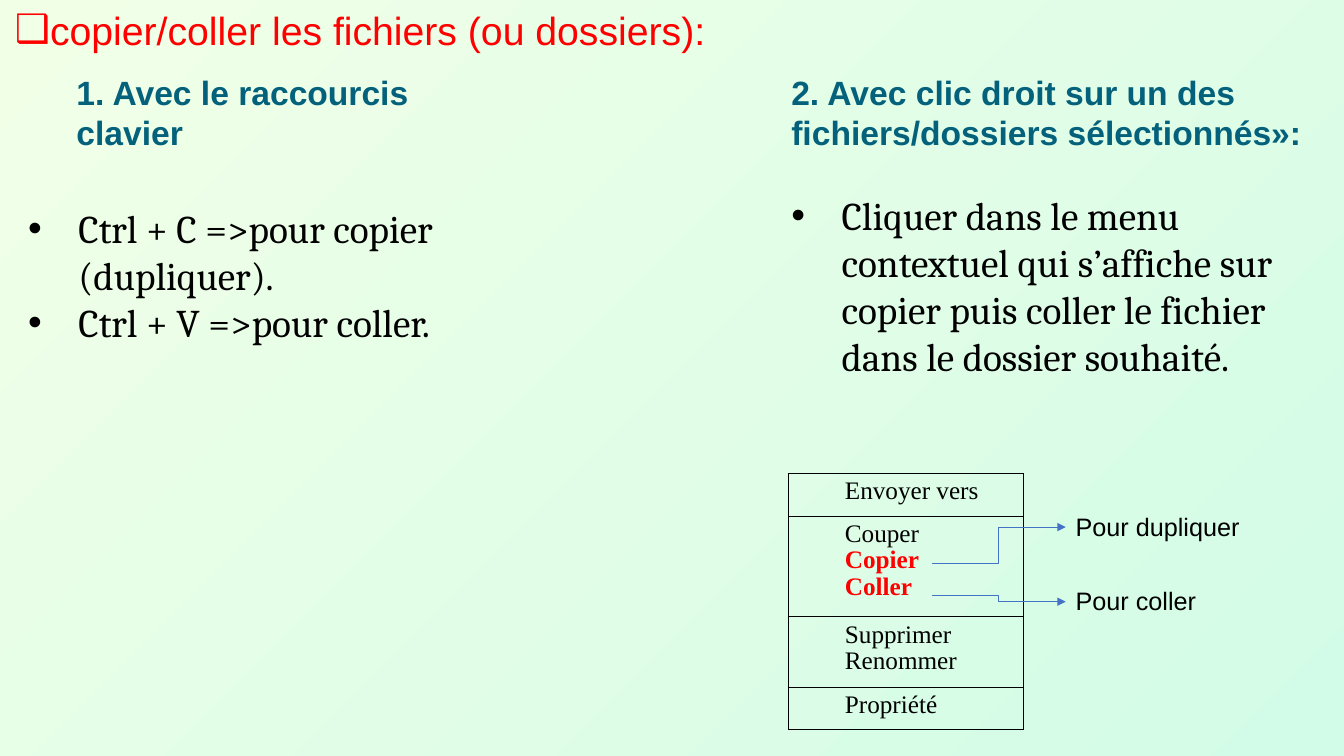
import pptx
import pptx.dml.color
import pptx.enum.shapes
import pptx.enum.text
import pptx.oxml
import pptx.oxml.ns
import pptx.util
from lxml import etree

Inches = pptx.util.Inches
Pt = pptx.util.Pt
qn = pptx.oxml.ns.qn


def rgb(hex_color):
    return pptx.dml.color.RGBColor.from_string(hex_color)


def apply(target, values):
    for name, value in values.items():
        setattr(target, name, value)


class SlideBuilder:
    """Holds the style and the current slide."""

    BLACK, RED, TEAL, BLUE = "000000", "FF0000", "04617B", "4472C4"
    HEADING = {"name": "Arial", "size": Pt(24), "bold": True}
    TITLE = {"name": "Arial", "size": Pt(28)}
    BODY = {"name": "Cambria", "size": Pt(28)}
    LABEL = {"name": "Arial", "size": Pt(18)}
    MENU = {"name": "Times New Roman", "size": Pt(18)}

    def __init__(self, deck):
        self.slide = deck.slides.add_slide(deck.slide_layouts[6])

    def background(self, start, end):
        fill = self.slide.background.fill
        fill.gradient()
        fill.gradient_angle = 315
        for stop, position, color in zip(fill.gradient_stops, (0, 1), (start, end)):
            stop.position = position
            stop.color.rgb = rgb(color)

    def add_lines(self, frame, lines, style, color, indent=0.0, bullet=None):
        for index, line in enumerate(lines):
            paragraph = frame.add_paragraph() if index else frame.paragraphs[0]
            if indent:
                properties = paragraph._p.get_or_add_pPr()
                properties.set("marL", str(Inches(indent)))
                properties.set("indent", str(-Inches(indent) if bullet else 0))
                if bullet:
                    etree.SubElement(properties, qn("a:buFont"), typeface="Arial")
                    etree.SubElement(properties, qn("a:buChar"), char=bullet)
            run = paragraph.add_run()
            run.text = line
            apply(run.font, style)
            run.font.color.rgb = rgb(color)

    def text(self, box, lines, style, color=BLACK, indent=0.0, bullet=None):
        frame = self.slide.shapes.add_textbox(*map(Inches, box)).text_frame
        apply(frame, {
            "word_wrap": True,
            "auto_size": pptx.enum.text.MSO_AUTO_SIZE.SHAPE_TO_FIT_TEXT,
        })
        self.add_lines(frame, lines, style, color, indent, bullet)

    def border(self, cell):
        properties = cell._tc.get_or_add_tcPr()
        for index, side in enumerate(("lnL", "lnR", "lnT", "lnB")):
            line = etree.Element(qn("a:" + side), w=str(Pt(0.8)))
            solid = etree.SubElement(line, qn("a:solidFill"))
            etree.SubElement(solid, qn("a:srgbClr"), val=self.BLACK)
            properties.insert(index, line)

    def menu(self, left, top, width, groups, heights, highlighted):
        table = self.slide.shapes.add_table(
            len(groups), 1, Inches(left), Inches(top), Inches(width), Inches(sum(heights))
        ).table
        apply(table, {"first_row": False, "horz_banding": False})
        for index, (entries, height) in enumerate(zip(groups, heights)):
            table.rows[index].height = Inches(height)
            cell = table.cell(index, 0)
            apply(cell, {
                "margin_left": Inches(0.06), "margin_right": Inches(0.06),
                "margin_top": Inches(0.05), "margin_bottom": Inches(0.05),
            })
            cell.fill.background()
            self.border(cell)
            self.add_lines(cell.text_frame, entries, self.MENU, self.BLACK, indent=0.5)
            for paragraph in cell.text_frame.paragraphs:
                paragraph.line_spacing = 0.95
                font = paragraph.runs[0].font
                font.bold = paragraph.text in highlighted
                if font.bold:
                    font.color.rgb = rgb(self.RED)

    def arrow(self, start, end):
        connector = self.slide.shapes.add_connector(
            pptx.enum.shapes.MSO_CONNECTOR.ELBOW, *map(Inches, start + end)
        )
        connector.line.color.rgb = rgb(self.BLUE)
        connector.line.width = Pt(0.5)
        outline = connector._element.spPr.find(qn("a:ln"))
        etree.SubElement(outline, qn("a:tailEnd"), type="triangle")
        etree.SubElement(connector._element.spPr, qn("a:effectLst"))


def main():
    deck = pptx.Presentation()
    apply(deck, {"slide_width": Inches(13.33), "slide_height": Inches(7.5)})
    page = SlideBuilder(deck)
    page.background("F2FFE7", "D2FCE7")

    # Title
    page.text((0.05, 0.01, 8.71, 0.57), ["copier/coller les fichiers (ou dossiers):"],
              page.TITLE, page.RED, indent=0.31, bullet="❑")

    # Keyboard method
    page.text((0.66, 0.66, 4.38, 0.91), ["1. Avec le raccourcis clavier"],
              page.HEADING, page.TEAL)
    page.text((0.18, 1.98, 6.18, 1.51),
              ["Ctrl + C =>pour copier (dupliquer).", "Ctrl + V =>pour coller."],
              page.BODY, indent=0.5, bullet="•")

    # Right-click method
    page.text((7.75, 0.66, 5.32, 0.91),
              ["2. Avec clic droit sur un des fichiers/dossiers sélectionnés»:"],
              page.HEADING, page.TEAL)
    page.text((7.75, 1.85, 5.2, 2.46),
              ["Cliquer dans le menu contextuel qui s’affiche sur copier "
               "puis coller le fichier dans le dossier souhaité."],
              page.BODY, indent=0.5, bullet="•")

    # Context menu
    menu_groups = [["Envoyer vers"], ["Couper", "Copier", "Coller"],
                   ["Supprimer", "Renommer"], ["Propriété"]]
    page.menu(7.82, 4.7, 2.33, menu_groups, (0.42, 1.0, 0.7, 0.42), ("Copier", "Coller"))

    # Explanations of the highlighted entries
    explanations = [("Pour dupliquer", 5.02, 5.59, 5.23), ("Pour coller", 5.76, 5.91, 5.97)]
    for explanation, top, entry_y, tip_y in explanations:
        page.text((10.57, top, 2.16, 0.4), [explanation], page.LABEL)
        page.arrow((9.24, entry_y), (10.57, tip_y))

    deck.save("out.pptx")


if __name__ == "__main__":
    main()
